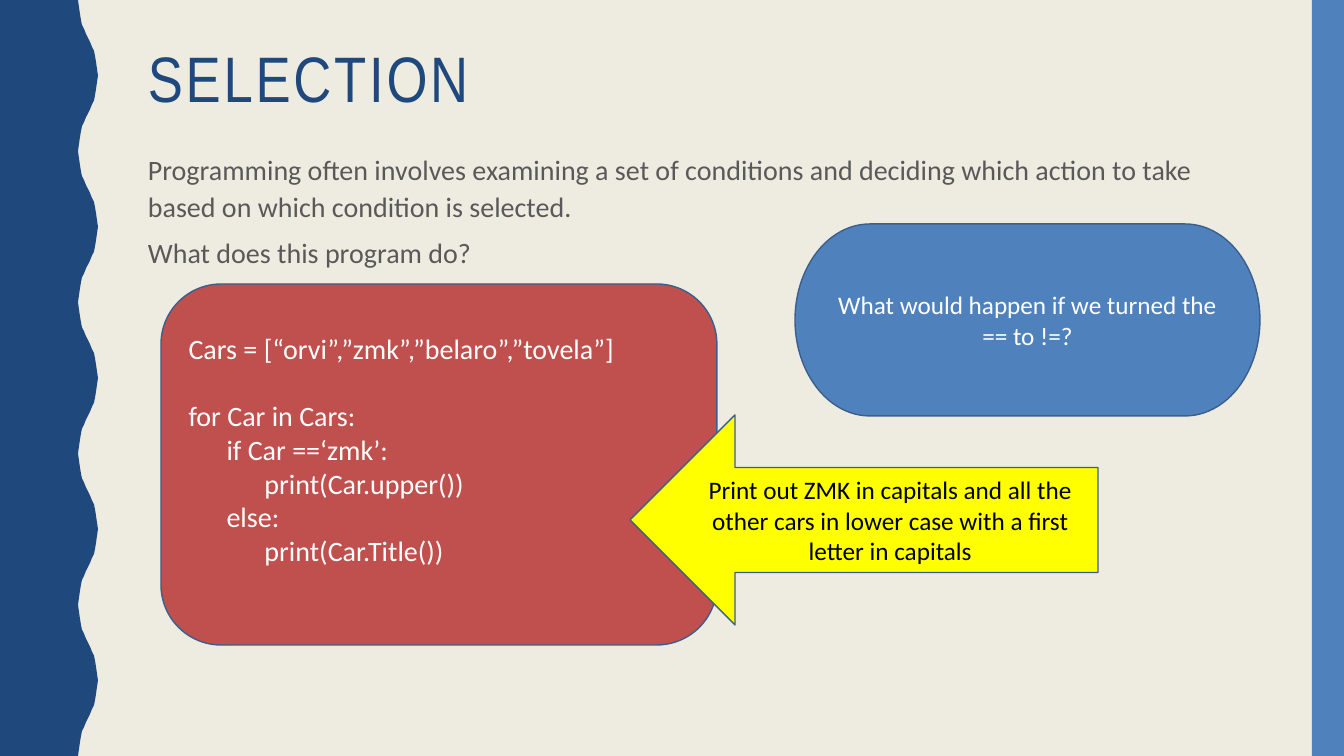
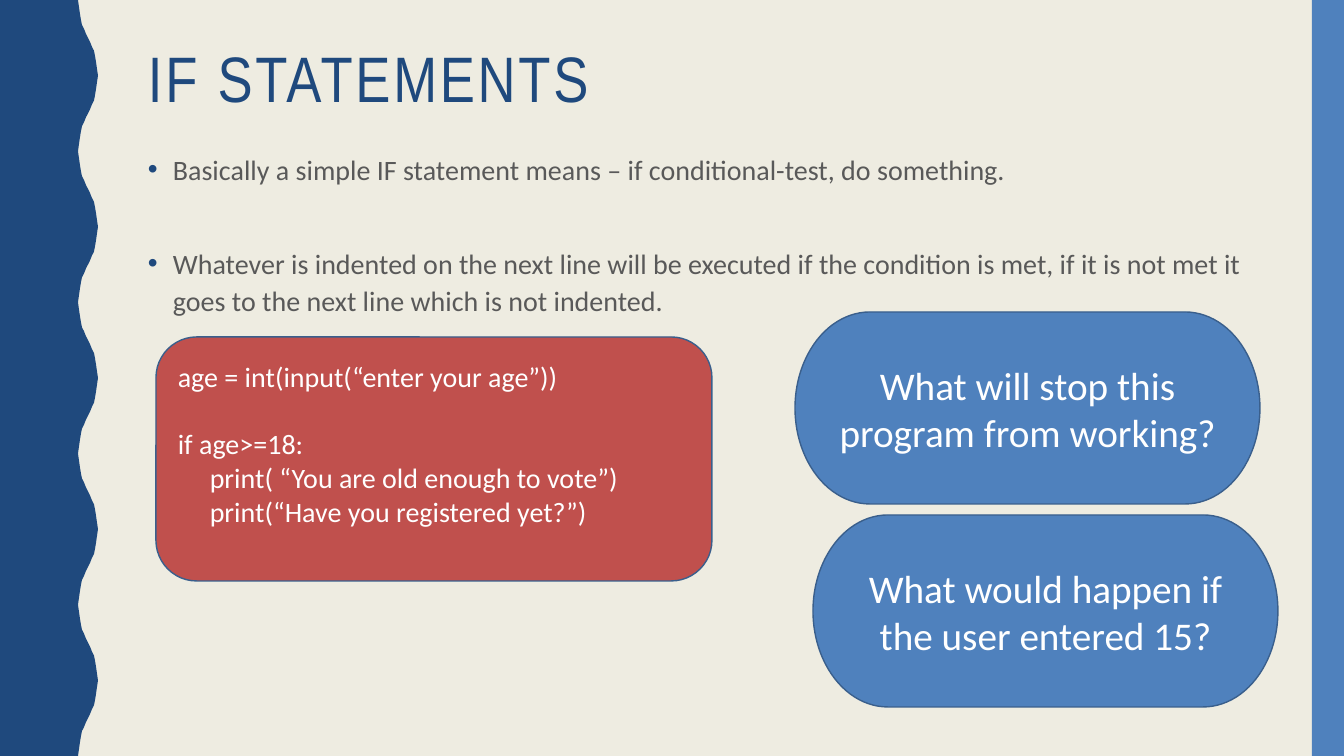
from dataclasses import dataclass

import lxml.etree
import pptx
import pptx.dml.color
import pptx.enum.shapes
import pptx.enum.text
import pptx.oxml.ns
import pptx.presentation
import pptx.shapes.autoshape
import pptx.slide
import pptx.text.text
import pptx.util

SHAPES = pptx.enum.shapes.MSO_SHAPE
ALIGN = pptx.enum.text.PP_ALIGN
ANCHOR = pptx.enum.text.MSO_ANCHOR

# Page size in pixels, 100.8 to the inch
WIDTH, HEIGHT = 1344, 756
EMU_PER_PIXEL = 914400 / 100.8


@dataclass(frozen=True)
class Theme:
    paper: str = "EEECE1"
    navy: str = "1F497D"
    blue: str = "4F81BD"
    red: str = "C0504D"
    yellow: str = "FFFF00"
    outline: str = "3A5F8C"
    body: str = "595959"
    white: str = "FFFFFF"
    black: str = "000000"
    title_font: str = "Arial Narrow"
    body_font: str = "Calibri"
    title_size: float = 45.9
    text_size: float = 20
    note_size: float = 18
    question_size: float = 28
    title_tracking: int = 200
    body_gap: float = 7
    blank_body_line: float = 33.84
    blank_code_line: float = 24.4


THEME = Theme()


@dataclass(frozen=True)
class Area:
    left: int
    top: int
    width: int
    height: int


@dataclass(frozen=True)
class BodyLine:
    text: str
    bullet: bool = False
    extra_gap: float = 0


@dataclass(frozen=True)
class CodeLine:
    text: str
    level: int = 0
    after_blank: bool = False


@dataclass(frozen=True)
class CodePanel:
    area: Area
    indent: int
    lines: tuple[CodeLine, ...]


@dataclass(frozen=True)
class Callout:
    area: Area
    text: str
    size: float
    shape: SHAPES = SHAPES.FLOWCHART_TERMINATOR
    fill: str = THEME.blue
    color: str = THEME.white


@dataclass(frozen=True)
class Lesson:
    title: str
    body: tuple[BodyLine, ...]
    panels: tuple[CodePanel | Callout, ...]


TITLE_AREA = Area(138, 42, 1122, 80)
BODY_AREA = Area(138, 144, 1122, 562)
SIDE_BAND = Area(1312, 0, 32, HEIGHT)
BULLET_INDENT = 25
CODE_BOTTOM_INSET = 36

# Wavy edge: a quarter wave as (distance down, distance from the centre line)
WAVE_CENTRE = 88
WAVE_COUNT = 5
QUARTER_DEPTH = 38
QUARTER_WAVE = ((0, 10), (7, 9), (14, 8), (20, 7), (25, 6), (29, 4), (34, 2))


# Helpers
def emu(pixels: float) -> int:
    return round(pixels * EMU_PER_PIXEL)


def rgb(color: str) -> pptx.dml.color.RGBColor:
    return pptx.dml.color.RGBColor.from_string(color)


def place(area: Area) -> tuple[int, int, int, int]:
    return emu(area.left), emu(area.top), emu(area.width), emu(area.height)


def paint(box: pptx.shapes.autoshape.Shape, fill: str, line: str | None = None) -> None:
    box.shadow.inherit = False
    box.fill.solid()
    box.fill.fore_color.rgb = rgb(fill)
    if line is None:
        box.line.fill.background()
    else:
        box.line.color.rgb = rgb(line)
        box.line.width = pptx.util.Pt(1)


def add_span(para: pptx.text.text._Paragraph, text: str, size: float, color: str,
             font: str = THEME.body_font) -> pptx.text.text._Run:
    span = para.add_run()
    span.text = text
    span.font.size = pptx.util.Pt(size)
    span.font.name = font
    span.font.color.rgb = rgb(color)
    return span


def next_para(frame: pptx.text.text.TextFrame, index: int) -> pptx.text.text._Paragraph:
    return frame.add_paragraph() if index else frame.paragraphs[0]


def add_bullet(para: pptx.text.text._Paragraph) -> None:
    qn = pptx.oxml.ns.qn
    properties = para._p.get_or_add_pPr()
    properties.set("marL", str(emu(BULLET_INDENT)))
    properties.set("indent", str(-emu(BULLET_INDENT)))
    color = lxml.etree.SubElement(properties, qn("a:buClr"))
    lxml.etree.SubElement(color, qn("a:srgbClr")).set("val", THEME.navy)
    lxml.etree.SubElement(properties, qn("a:buFont")).set("typeface", "Arial")
    lxml.etree.SubElement(properties, qn("a:buChar")).set("char", "•")


# Shared page frame
def wave_points() -> list[tuple[int, int]]:
    half = [(down, -out) for down, out in QUARTER_WAVE] + [(QUARTER_DEPTH, 0)]
    half += [(2 * QUARTER_DEPTH - down, out) for down, out in reversed(QUARTER_WAVE)]
    depth = 4 * QUARTER_DEPTH
    period = half + [(depth - down, out) for down, out in reversed(half[:-1])]
    stretch = HEIGHT / (WAVE_COUNT * depth)
    return [(emu(WAVE_CENTRE + out), emu((wave * depth + down) * stretch))
            for wave in range(WAVE_COUNT) for down, out in period]


def draw_frame(page: pptx.slide.Slide) -> None:
    outline = page.shapes.build_freeform(0, 0, scale=1.0)
    outline.add_line_segments(wave_points() + [(0, emu(HEIGHT))], close=True)
    paint(outline.convert_to_shape(), THEME.navy)
    band = page.shapes.add_shape(SHAPES.RECTANGLE, *place(SIDE_BAND))
    paint(band, THEME.blue)


# Slide content
def draw_title(page: pptx.slide.Slide, text: str) -> None:
    frame = page.shapes.add_textbox(*place(TITLE_AREA)).text_frame
    frame.word_wrap = True
    frame.vertical_anchor = ANCHOR.MIDDLE
    para = frame.paragraphs[0]
    para.line_spacing = 0.9
    span = add_span(para, text, THEME.title_size, THEME.navy, THEME.title_font)
    span._r.get_or_add_rPr().set("spc", str(THEME.title_tracking))


def draw_body(page: pptx.slide.Slide, lines: tuple[BodyLine, ...]) -> None:
    frame = page.shapes.add_textbox(*place(BODY_AREA)).text_frame
    frame.word_wrap = True
    for index, line in enumerate(lines):
        para = next_para(frame, index)
        para.line_spacing = 1.1
        para.space_before = pptx.util.Pt(THEME.body_gap + line.extra_gap)
        if line.bullet:
            add_bullet(para)
        add_span(para, line.text, THEME.text_size, THEME.body)


def draw_code(page: pptx.slide.Slide, panel: CodePanel) -> None:
    box = page.shapes.add_shape(SHAPES.ROUNDED_RECTANGLE, *place(panel.area))
    paint(box, THEME.red, THEME.outline)
    frame = box.text_frame
    frame.word_wrap = True
    frame.vertical_anchor = ANCHOR.MIDDLE
    frame.margin_bottom = emu(CODE_BOTTOM_INSET)
    for index, line in enumerate(panel.lines):
        para = next_para(frame, index)
        para.alignment = ALIGN.LEFT
        para._p.get_or_add_pPr().set("marL", str(emu(line.level * panel.indent)))
        if line.after_blank:
            para.space_before = pptx.util.Pt(THEME.blank_code_line)
        add_span(para, line.text, THEME.text_size, THEME.white)


def draw_callout(page: pptx.slide.Slide, callout: Callout) -> None:
    box = page.shapes.add_shape(callout.shape, *place(callout.area))
    paint(box, callout.fill, THEME.outline)
    frame = box.text_frame
    frame.word_wrap = True
    frame.vertical_anchor = ANCHOR.MIDDLE
    para = frame.paragraphs[0]
    para.alignment = ALIGN.CENTER
    add_span(para, callout.text, callout.size, callout.color)


def draw_lesson(deck: pptx.presentation.Presentation, lesson: Lesson) -> None:
    page = deck.slides.add_slide(deck.slide_layouts[6])
    page.background.fill.solid()
    page.background.fill.fore_color.rgb = rgb(THEME.paper)
    draw_frame(page)
    draw_title(page, lesson.title)
    draw_body(page, lesson.body)
    for panel in lesson.panels:
        if isinstance(panel, CodePanel):
            draw_code(page, panel)
        else:
            draw_callout(page, panel)


# Content
LESSONS = (
    Lesson(
        "SELECTION",
        (BodyLine("Programming often involves examining a set of conditions and deciding "
                  "which action to take based on which condition is selected."),
         BodyLine("What does this program do?")),
        (CodePanel(Area(161, 284, 556, 361), 38, (
            CodeLine("Cars = [“orvi”,”zmk”,”belaro”,”tovela”]"),
            CodeLine("for Car in Cars:", after_blank=True),
            CodeLine("if Car ==‘zmk’:", 1),
            CodeLine("print(Car.upper())", 2),
            CodeLine("else:", 1),
            CodeLine("print(Car.Title())", 2))),
         Callout(Area(630, 415, 468, 210),
                 "Print out ZMK in capitals and all the other cars in lower case "
                 "with a first letter in capitals",
                 THEME.note_size, SHAPES.LEFT_ARROW, THEME.yellow, THEME.black),
         Callout(Area(795, 224, 465, 192),
                 "What would happen if we turned the == to !=?", THEME.note_size)),
    ),
    Lesson(
        "IF STATEMENTS",
        (BodyLine("Basically a simple IF statement means – if conditional-test, "
                  "do something.", bullet=True),
         BodyLine("Whatever is indented on the next line will be executed if the condition "
                  "is met, if it is not met it goes to the next line which is not indented.",
                  bullet=True, extra_gap=THEME.blank_body_line)),
        (Callout(Area(813, 515, 465, 192),
                 "What would happen if the user entered 15?", THEME.question_size),
         Callout(Area(795, 312, 465, 192),
                 "What will stop this program from working?", THEME.question_size),
         CodePanel(Area(156, 337, 556, 244), 32, (
             CodeLine("age = int(input(“enter your age”))"),
             CodeLine("if age>=18:", after_blank=True),
             CodeLine("print( “You are old enough to vote”)", 1),
             CodeLine("print(“Have you registered yet?”)", 1)))),
    ),
)


def main() -> None:
    deck = pptx.Presentation()
    deck.slide_width, deck.slide_height = emu(WIDTH), emu(HEIGHT)
    for lesson in LESSONS:
        draw_lesson(deck, lesson)
    deck.save("out.pptx")


main()
